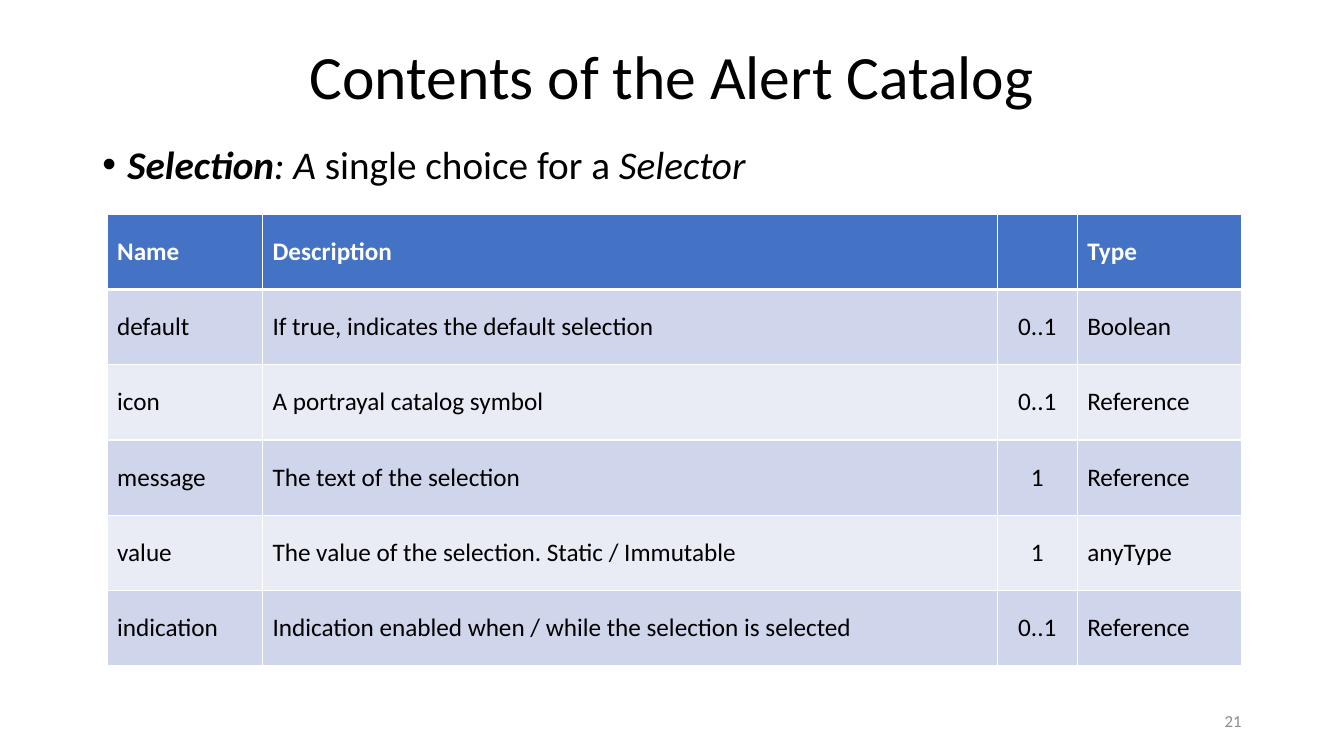
import pptx
import pptx.dml.color
import pptx.enum.text
import pptx.oxml
import pptx.oxml.ns
import pptx.util

TITLE = "Contents of the Alert Catalog"
PAGE_NUMBER = "21"
# text, bold, italic
DEFINITION = [
    ("Selection", True, True),
    (": A", False, True),
    (" single choice for a ", False, False),
    ("Selector", False, True),
]
ATTRIBUTES = [
    ("Name", "Description", "", "Type"),
    ("default", "If true, indicates the default selection", "0..1", "Boolean"),
    ("icon", "A portrayal catalog symbol", "0..1", "Reference"),
    ("message", "The text of the selection", "1", "Reference"),
    ("value", "The value of the selection. Static / Immutable", "1", "anyType"),
    ("indication", "Indication enabled when / while the selection is selected", "0..1", "Reference"),
]
COLUMN_WIDTHS = [148, 700, 76, 157]
MULTIPLICITY_COLUMN = 2

SLIDE_SIZE = (1280, 720)
TITLE_AREA = (88, 38, 1104, 76)
BODY_AREA = (88, 134, 1104, 515)
NUMBER_AREA = (904, 667, 288, 38)
TABLE_AREA = (102, 204, sum(COLUMN_WIDTHS), 430)
BULLET_INDENT = 24

THEME = {
    "font": "Calibri",
    "text": "000000",
    "number": "8C8C8C",
    "heading": "FFFFFF",
    "heading_fill": "4472C4",
    "bands": ("CFD5EA", "E9EBF5"),
    "border": "FFFFFF",
    "title_size": 44,
    "body_size": 28,
    "table_size": 18,
    "number_size": 12,
    "thin": 1,
    "thick": 3,
}
ALIGN = pptx.enum.text.PP_ALIGN
MIDDLE = pptx.enum.text.MSO_ANCHOR.MIDDLE


def px(length):
    return pptx.util.Emu(length * 9525)


def color(name):
    return pptx.dml.color.RGBColor.from_string(name)


def style(para, size, font_color, align=ALIGN.LEFT):
    para.alignment = align
    para.font.name = THEME["font"]
    para.font.size = pptx.util.Pt(size)
    para.font.color.rgb = color(font_color)


def add_text_area(page, area):
    frame = page.shapes.add_textbox(*map(px, area)).text_frame
    frame.word_wrap = True
    return frame


def add_line(page, area, text, size, font_color, align):
    frame = add_text_area(page, area)
    frame.vertical_anchor = MIDDLE
    para = frame.paragraphs[0]
    para.text = text
    style(para, size, font_color, align)
    return para


def add_definition(page):
    para = add_text_area(page, BODY_AREA).paragraphs[0]
    para.line_spacing = 0.9
    properties = para._p.get_or_add_pPr()
    properties.set("marL", str(px(BULLET_INDENT)))
    properties.set("indent", str(px(-BULLET_INDENT)))
    namespace = pptx.oxml.ns.nsdecls("a")
    properties.append(pptx.oxml.parse_xml(f'<a:buFont {namespace} typeface="Arial"/>'))
    properties.append(pptx.oxml.parse_xml(f'<a:buChar {namespace} char="•"/>'))
    style(para, THEME["body_size"], THEME["text"])
    for text, bold, italic in DEFINITION:
        span = para.add_run()
        span.text = text
        span.font.bold = bold
        span.font.italic = italic


def set_borders(cell, top, bottom):
    """Draw all four cell edges; call before the fill is set, as the schema orders them."""
    widths = {"lnL": THEME["thin"], "lnR": THEME["thin"], "lnT": top, "lnB": bottom}
    for edge, width in widths.items():
        cell._tc.get_or_add_tcPr().append(pptx.oxml.parse_xml(
            f'<a:{edge} {pptx.oxml.ns.nsdecls("a")} w="{pptx.util.Pt(width)}">'
            f'<a:solidFill><a:srgbClr val="{THEME["border"]}"/></a:solidFill></a:{edge}>'))


def add_attribute_table(page):
    table = page.shapes.add_table(
        len(ATTRIBUTES), len(COLUMN_WIDTHS), *map(px, TABLE_AREA)).table
    for column, width in zip(table.columns, COLUMN_WIDTHS):
        column.width = px(width)
    for row, values in enumerate(ATTRIBUTES):
        heading = row == 0
        fill = THEME["heading_fill"] if heading else THEME["bands"][(row - 1) % 2]
        top = THEME["thick"] if row == 1 else THEME["thin"]
        bottom = THEME["thick"] if heading else THEME["thin"]
        for column, text in enumerate(values):
            cell = table.cell(row, column)
            set_borders(cell, top, bottom)
            cell.fill.solid()
            cell.fill.fore_color.rgb = color(fill)
            cell.vertical_anchor = MIDDLE
            para = cell.text_frame.paragraphs[0]
            if text:
                para.text = text
            align = ALIGN.CENTER if column == MULTIPLICITY_COLUMN else ALIGN.LEFT
            style(para, THEME["table_size"], THEME["heading" if heading else "text"], align)
            para.font.bold = heading


def main():
    deck = pptx.Presentation()
    deck.slide_width, deck.slide_height = map(px, SLIDE_SIZE)
    page = deck.slides.add_slide(deck.slide_layouts[6])
    add_definition(page)
    add_line(page, NUMBER_AREA, PAGE_NUMBER, THEME["number_size"], THEME["number"], ALIGN.RIGHT)
    title = add_line(page, TITLE_AREA, TITLE, THEME["title_size"], THEME["text"], ALIGN.CENTER)
    title.line_spacing = 0.9
    add_attribute_table(page)
    deck.save("out.pptx")


if __name__ == "__main__":
    main()
